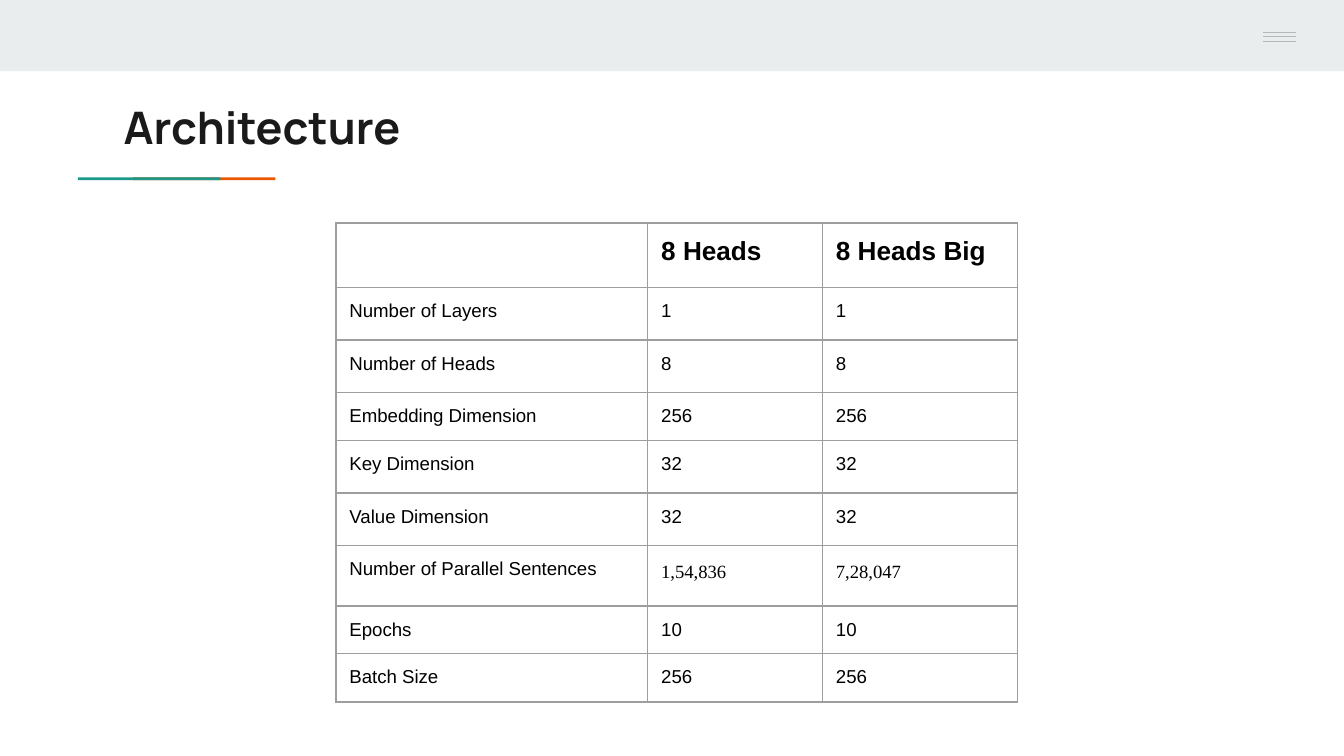
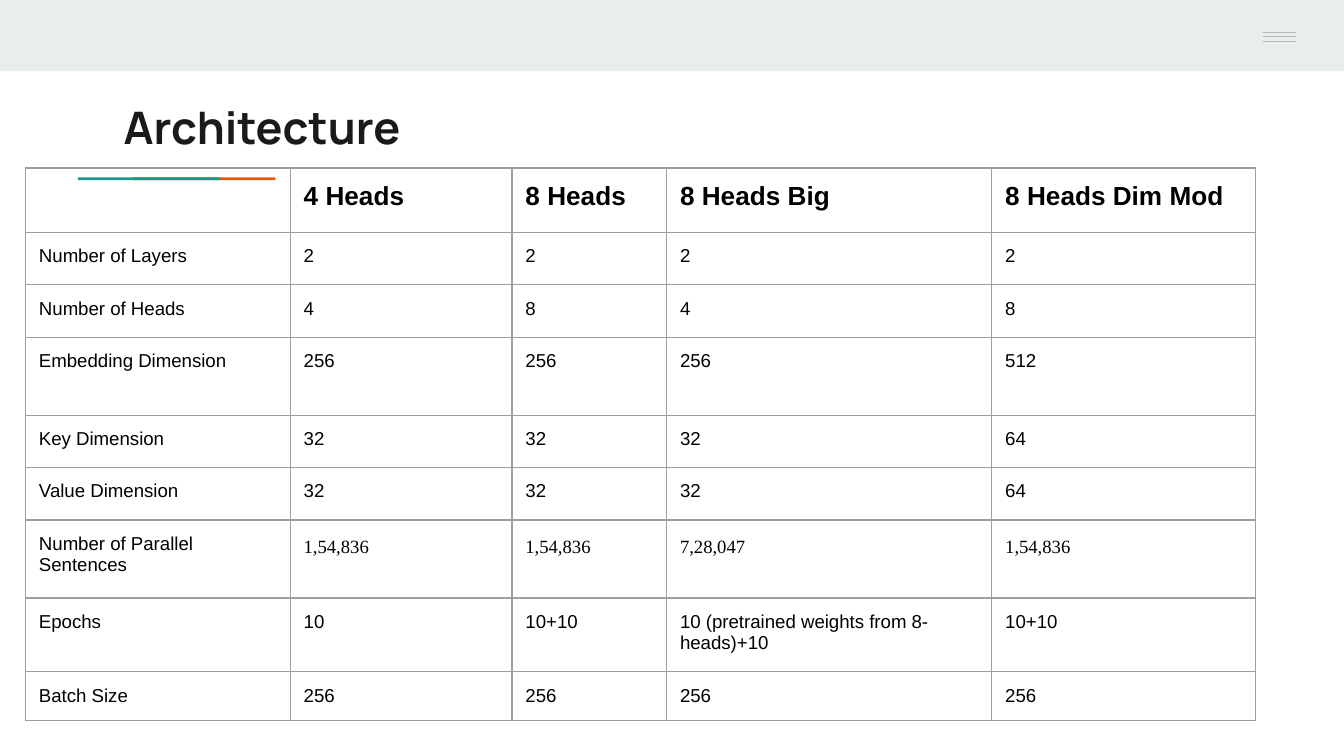
from dataclasses import dataclass

from lxml import etree
from pptx import Presentation
from pptx.dml.color import RGBColor
from pptx.enum.shapes import MSO_CONNECTOR, MSO_SHAPE
from pptx.enum.text import MSO_ANCHOR, PP_ALIGN
from pptx.oxml import parse_xml
from pptx.oxml.ns import nsdecls, qn
from pptx.util import Inches, Pt

RECTANGLE = MSO_SHAPE.RECTANGLE
STRAIGHT = MSO_CONNECTOR.STRAIGHT
LEFT, JUSTIFY = PP_ALIGN.LEFT, PP_ALIGN.JUSTIFY
TOP, MIDDLE = MSO_ANCHOR.TOP, MSO_ANCHOR.MIDDLE
TITLE_ONLY = 5
PLAIN_TABLE_STYLE = "{2D5ABB26-0587-4C30-8999-92F81FD0307C}"


@dataclass(frozen=True)
class Theme:
    band: str = "E9EDEE"
    orange: str = "EB5600"
    green: str = "1A9988"
    menu: str = "B7B7B7"
    border: str = "9E9E9E"
    title: str = "1A1A1A"
    text: str = "000000"
    title_font: str = "Manrope"
    body_font: str = "Arial"
    figure_font: str = "Times New Roman"
    title_size: int = 24
    header_size: int = 14
    body_size: int = 10
    line_width: float = 0.75
    padding: float = 0.1


THEME = Theme()
SLIDE_SIZE = (10, 10 * 9 / 16)
TITLE_BOX = (0.82, 0.64, 4.64, 0.61)

# left, top, width, height, colour, from back to front
BANDS = [
    (0, 0, 10, 0.53, THEME.band),
    (0.99, 1.32, 1.06, 0.02, THEME.orange),
    (0.58, 1.32, 1.06, 0.02, THEME.green),
    (9.06, 0, 0.94, 0.5, THEME.band),
]
MENU_LEFT, MENU_RIGHT = 9.4, 9.64
MENU_LINES = [0.24, 0.27, 0.31]

SENTENCES = "Number of Parallel Sentences"
SLIDES = [
    {
        "title": "Architecture",
        "at": (2.5, 1.66),
        "columns": [2.32, 1.3, 1.45],
        "heights": [0.48, 0.39, 0.39, 0.36, 0.39, 0.39, 0.45, 0.35, 0.36],
        "rows": [
            ("", "8 Heads", "8 Heads Big"),
            ("Number of Layers", "1", "1"),
            ("Number of Heads", "8", "8"),
            ("Embedding Dimension", "256", "256"),
            ("Key Dimension", "32", "32"),
            ("Value Dimension", "32", "32"),
            (SENTENCES, "1,54,836", "7,28,047"),
            ("Epochs", "10", "10"),
            ("Batch Size", "256", "256"),
        ],
    },
    {
        "title": "Architecture",
        "at": (0.19, 1.25),
        "columns": [1.97, 1.65, 1.15, 2.42, 1.96],
        "heights": [0.48, 0.39, 0.39, 0.58, 0.39, 0.39, 0.58, 0.55, 0.36],
        "rows": [
            ("", "4 Heads", "8 Heads", "8 Heads Big", "8 Heads Dim Mod"),
            ("Number of Layers", "2", "2", "2", "2"),
            ("Number of Heads", "4", "8", "4", "8"),
            ("Embedding Dimension", "256", "256", "256", "512"),
            ("Key Dimension", "32", "32", "32", "64"),
            ("Value Dimension", "32", "32", "32", "64"),
            (SENTENCES, "1,54,836", "1,54,836", "7,28,047", "1,54,836"),
            ("Epochs", "10", "10+10",
             "10 (pretrained weights from 8-heads)+10", "10+10"),
            ("Batch Size", "256", "256", "256", "256"),
        ],
    },
]


def inches(values):
    return [Inches(value) for value in values]


def set_all(target, values):
    for name, value in values.items():
        setattr(target, name, value)


def write(paragraph, text, font, size, colour, bold):
    run = paragraph.add_run()
    run.text = text
    set_all(run.font, {"name": font, "size": Pt(size), "bold": bold})
    run.font.color.rgb = RGBColor.from_string(colour)


def margins():
    sides = ("left", "right", "top", "bottom")
    return {f"margin_{side}": Inches(THEME.padding) for side in sides}


def decorate_layout(layout, slide):
    """Draw the shared parts on a slide, then move them behind the layout's title."""
    for placeholder in list(layout.placeholders):
        if placeholder.placeholder_format.idx:
            placeholder.element.getparent().remove(placeholder.element)
    parts = []
    for *box, colour in BANDS:
        band = slide.shapes.add_shape(RECTANGLE, *inches(box))
        band.shadow.inherit = False
        band.fill.solid()
        band.fill.fore_color.rgb = RGBColor.from_string(colour)
        band.line.fill.background()
        parts.append(band)
    for y in MENU_LINES:
        line = slide.shapes.add_connector(
            STRAIGHT, *inches((MENU_LEFT, y, MENU_RIGHT, y)))
        line.line.color.rgb = RGBColor.from_string(THEME.menu)
        line.line.width = Pt(THEME.line_width)
        etree.SubElement(line.element.spPr, qn("a:effectLst"))
        parts.append(line)
    title = layout.placeholders[0].element
    for part in parts:
        title.addprevious(part.element)


def fill_title(slide, text):
    title = slide.shapes.title
    names = ("left", "top", "width", "height")
    set_all(title, dict(zip(names, inches(TITLE_BOX))))
    set_all(title.text_frame, {**margins(), "vertical_anchor": MIDDLE, "word_wrap": True})
    paragraph = title.text_frame.paragraphs[0]
    paragraph.alignment = LEFT
    write(paragraph, text, THEME.title_font, THEME.title_size, THEME.title, True)


def add_borders(cell):
    properties = cell._tc.get_or_add_tcPr()
    for index, side in enumerate(("lnL", "lnR", "lnT", "lnB")):
        properties.insert(index, parse_xml(
            f'<a:{side} {nsdecls("a")} w="{Pt(THEME.line_width)}"><a:solidFill>'
            f'<a:srgbClr val="{THEME.border}"/></a:solidFill></a:{side}>'))


def fill_cell(cell, text, is_header, is_figure):
    set_all(cell, {**margins(), "vertical_anchor": TOP})
    cell.fill.background()
    add_borders(cell)
    paragraph = cell.text_frame.paragraphs[0]
    size = THEME.header_size if is_header else THEME.body_size
    if not text:
        # An empty cell takes its line height from the end-of-paragraph size.
        etree.SubElement(paragraph._p, qn("a:endParaRPr"), sz=str(size * 100))
        return
    if is_figure:
        set_all(paragraph, {"alignment": JUSTIFY, "line_spacing": 1.15,
                            "space_before": Pt(6)})
    font = THEME.figure_font if is_figure else THEME.body_font
    write(paragraph, text, font, size, THEME.text, is_header)


def add_grid(slide, at, columns, heights, rows):
    size = (sum(columns), sum(heights))
    table = slide.shapes.add_table(
        len(rows), len(columns), *inches(at), *inches(size)).table
    set_all(table, {"first_row": False, "horz_banding": False})
    table._tbl.tblPr.find(qn("a:tableStyleId")).text = PLAIN_TABLE_STYLE
    for column, width in zip(table.columns, columns):
        column.width = Inches(width)
    for row_index, (row, height) in enumerate(zip(rows, heights)):
        table.rows[row_index].height = Inches(height)
        for column_index, text in enumerate(row):
            fill_cell(table.cell(row_index, column_index), text, row_index == 0,
                      row[0] == SENTENCES and column_index > 0)


def main():
    presentation = Presentation()
    presentation.slide_width, presentation.slide_height = inches(SLIDE_SIZE)
    layout = presentation.slide_layouts[TITLE_ONLY]
    for number, content in enumerate(SLIDES):
        slide = presentation.slides.add_slide(layout)
        if number == 0:
            decorate_layout(layout, slide)
        fill_title(slide, content["title"])
        add_grid(slide, content["at"], content["columns"],
                 content["heights"], content["rows"])
    presentation.save("out.pptx")


if __name__ == "__main__":
    main()
